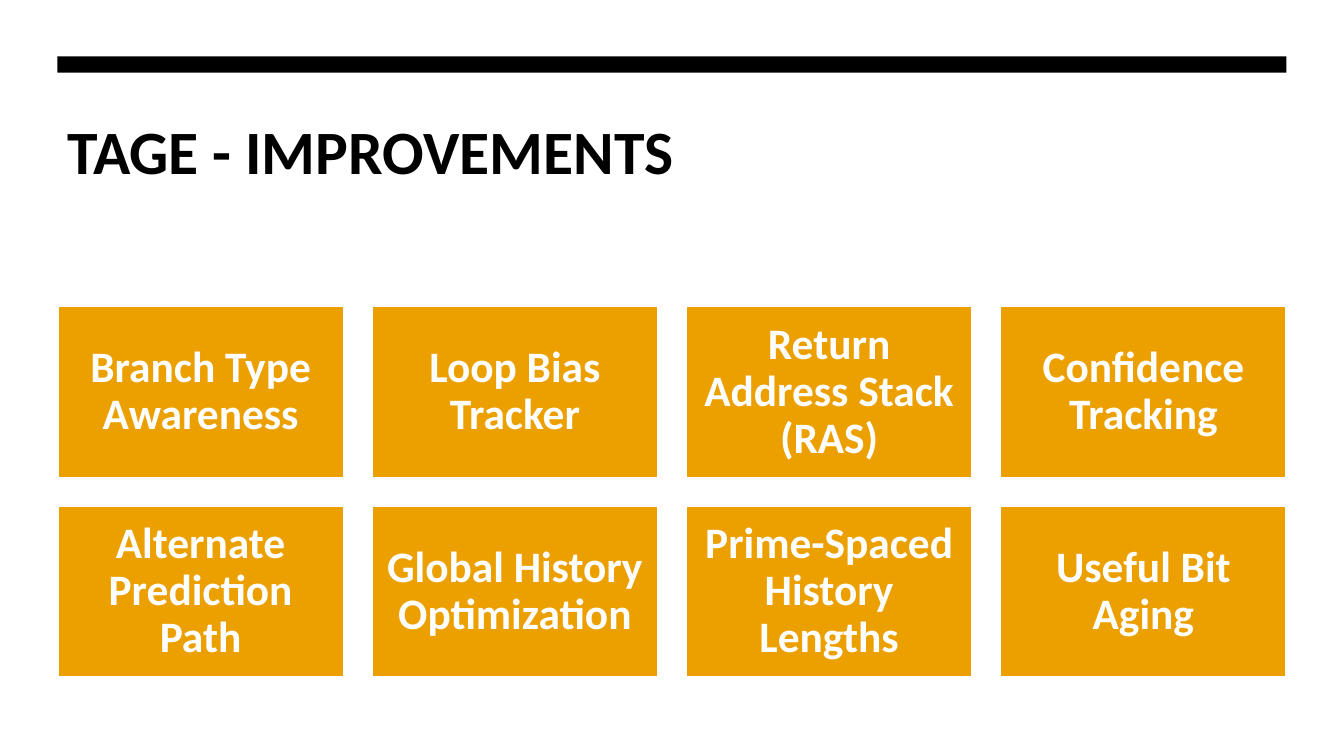
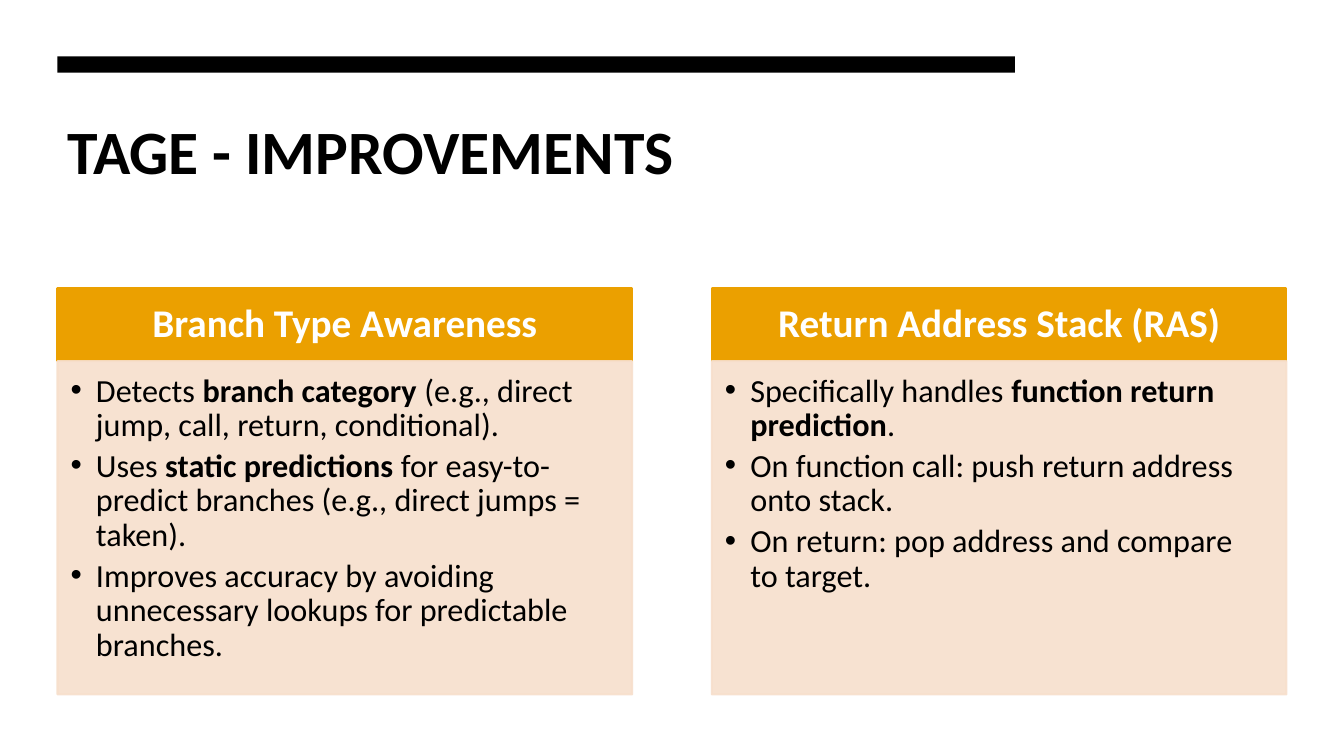
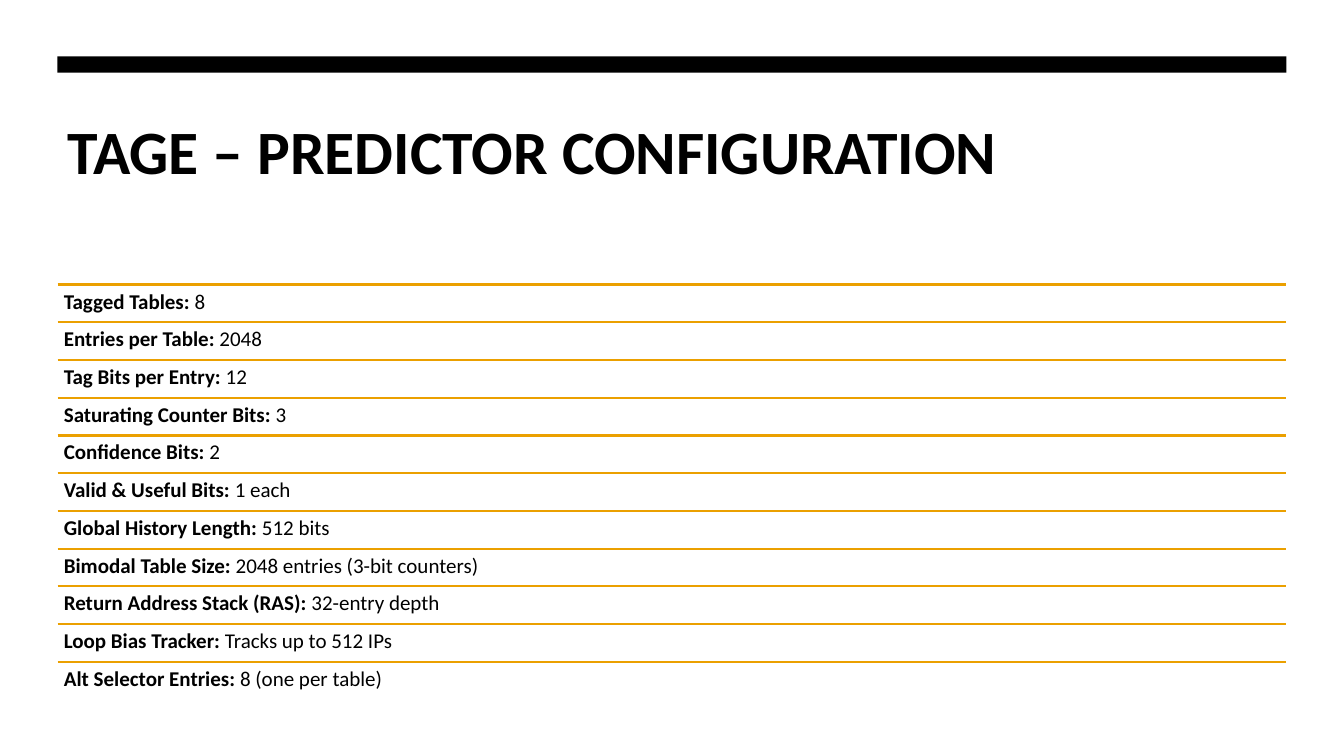
from lxml import etree
from pptx import Presentation
from pptx.dml.color import RGBColor
from pptx.enum.shapes import MSO_CONNECTOR, MSO_SHAPE
from pptx.enum.text import MSO_ANCHOR, PP_ALIGN
from pptx.oxml.ns import qn
from pptx.util import Cm, Pt

RECT, LINE = MSO_SHAPE.RECTANGLE, MSO_CONNECTOR.STRAIGHT
TOP, MIDDLE = MSO_ANCHOR.TOP, MSO_ANCHOR.MIDDLE
LEFT, CENTER = PP_ALIGN.LEFT, PP_ALIGN.CENTER

FONT = "Calibri"
BLACK, WHITE, GOLD, PEACH = "000000", "FFFFFF", "EBA000", "F7DFCC"
EDGE, WIDE, SHORT = 1.45, 30.97, 24.13

CARDS = [
    ["Branch Type Awareness", "Loop Bias Tracker",
     "Return Address Stack (RAS)", "Confidence Tracking"],
    ["Alternate Prediction Path", "Global History Optimization",
     "Prime-Spaced History Lengths", "Useful Bit Aging"],
]

# Bold words stand between double asterisks
PANELS = [
    ("Branch Type Awareness", [
        "Detects **branch category** (e.g., direct jump, call, return, conditional).",
        "Uses **static predictions** for easy-to-predict branches "
        "(e.g., direct jumps = taken).",
        "Improves accuracy by avoiding unnecessary lookups for predictable branches.",
    ]),
    ("Return Address Stack (RAS)", [
        "Specifically handles **function return prediction**.",
        "On function call: push return address onto stack.",
        "On return: pop address and compare to target.",
    ]),
]

ROWS = [
    "**Tagged Tables:** 8",
    "**Entries per Table:** 2048",
    "**Tag Bits per Entry:** 12",
    "**Saturating Counter Bits:** 3",
    "**Confidence Bits:** 2",
    "**Valid & Useful Bits:** 1 each",
    "**Global History Length:** 512 bits",
    "**Bimodal Table Size:** 2048 entries (3-bit counters)",
    "**Return Address Stack (RAS):** 32-entry depth",
    "**Loop Bias Tracker:** Tracks up to 512 IPs",
    "**Alt Selector Entries:** 8 (one per table)",
]


def paint(format, color):
    """Apply a hex colour to a fill, line or font."""
    if hasattr(format, "solid"):
        format.solid()
        format = format.fore_color
    else:
        format = format.color
    format.rgb = RGBColor.from_string(color)


def fade(shape, percent):
    """Make the fill and line of a shape partly transparent."""
    for color in shape._element.spPr.iter(qn("a:srgbClr")):
        etree.SubElement(color, qn("a:alpha"), val=str(percent * 1000))


def block(slide, x, y, w, h, color, edge=None):
    shape = slide.shapes.add_shape(RECT, Cm(x), Cm(y), Cm(w), Cm(h))
    shape.shadow.inherit = False
    paint(shape.fill, color)
    if edge:
        paint(shape.line, edge)
        shape.line.width = Pt(1.5)
    else:
        shape.line.fill.background()
    return shape


def bullet(para):
    props = para._p.get_or_add_pPr()
    props.set("marL", str(Cm(0.64)))
    props.set("indent", str(-Cm(0.64)))
    etree.SubElement(props, qn("a:buFont"), typeface="Arial")
    etree.SubElement(props, qn("a:buChar"), char="•")


def write(shape, lines, size, color=BLACK, bold=False, align=LEFT, anchor=TOP,
          inset=(0.25, 0.13, 0.25, 0.13), space=0.9, dots=False):
    """Fill a shape with paragraphs; inset is left, top, right, bottom."""
    frame = shape.text_frame
    frame.word_wrap = True
    frame.vertical_anchor = anchor
    (frame.margin_left, frame.margin_top,
     frame.margin_right, frame.margin_bottom) = map(Cm, inset)
    for i, line in enumerate(lines):
        para = frame.add_paragraph() if i else frame.paragraphs[0]
        if dots:
            bullet(para)
            para.space_after = Pt(4)
        para.alignment = align
        para.line_spacing = space
        para.font.name, para.font.size = FONT, Pt(size)
        para.font.bold = bold
        paint(para.font, color)
        for j, part in enumerate(line.split("**")):
            if part:
                run = para.add_run()
                run.text = part
                if j % 2:
                    run.font.bold = True


def text(slide, x, y, w, h, lines, size, **style):
    box = slide.shapes.add_textbox(Cm(x), Cm(y), Cm(w), Cm(h))
    write(box, lines, size, **style)


def page(deck, title, width=WIDE):
    """Add a slide with the black band and the title."""
    slide = deck.slides.add_slide(deck.slide_layouts[6])
    block(slide, EDGE, 1.42, width, 0.41, BLACK)
    text(slide, EDGE, 2.72, width, 4.06, [title], 44, bold=True, space=1.0)
    return slide


def grid(slide, x, y, w, h):
    """Cards in equal columns and rows."""
    gap_x, gap_y = 0.71, 0.71
    rows, cols = len(CARDS), len(CARDS[0])
    wide = (w - gap_x * (cols - 1)) / cols
    high = (h - gap_y * (rows - 1)) / rows
    for r, row in enumerate(CARDS):
        for c, label in enumerate(row):
            card = block(slide, x + c * (wide + gap_x), y + r * (high + gap_y),
                         wide, high, GOLD, WHITE)
            write(card, [label], 31, WHITE, True, CENTER, MIDDLE, [0.33] * 4)


def panel(slide, x, y, w, h, head, points):
    """A heading band above a bulleted body."""
    band = 1.83
    top = block(slide, x, y, w, band, GOLD, GOLD)
    write(top, [head], 28, WHITE, True, CENTER, MIDDLE, (0.55, 0.3, 0.55, 0.3))
    body = block(slide, x, y + band, w, h - band, PEACH, PEACH)
    fade(body, 90)
    write(body, points, 23, inset=(0.33, 0.33, 0.46, 0.5), dots=True)


def ruled(slide, x, y, w, h):
    """Rows of text, each under a thin rule."""
    step = h / len(ROWS)
    for i, row in enumerate(ROWS):
        top = y + i * step
        rule = slide.shapes.add_connector(LINE, Cm(x), Cm(top), Cm(x + w), Cm(top))
        paint(rule.line, GOLD)
        rule.line.width = Pt(1.5)
        etree.SubElement(rule._element.spPr, qn("a:effectLst"))
        text(slide, x, top, w, step, [row], 15, inset=[0.16] * 4)


def main():
    deck = Presentation()
    deck.slide_width, deck.slide_height = Cm(33.87), Cm(19.05)

    # Overview of improvements
    grid(page(deck, "TAGE - IMPROVEMENTS"), EDGE, 7.72, WIDE, 9.35)

    # Two improvements in detail
    slide = page(deck, "TAGE - IMPROVEMENTS", SHORT)
    wide = 14.48
    for i, (head, points) in enumerate(PANELS):
        panel(slide, EDGE + i * (WIDE - wide), 7.27, wide, 10.23, head, points)

    # Predictor settings
    ruled(page(deck, "TAGE – PREDICTOR CONFIGURATION"), EDGE, 7.17, WIDE, 10.46)

    deck.save("out.pptx")


if __name__ == "__main__":
    main()
